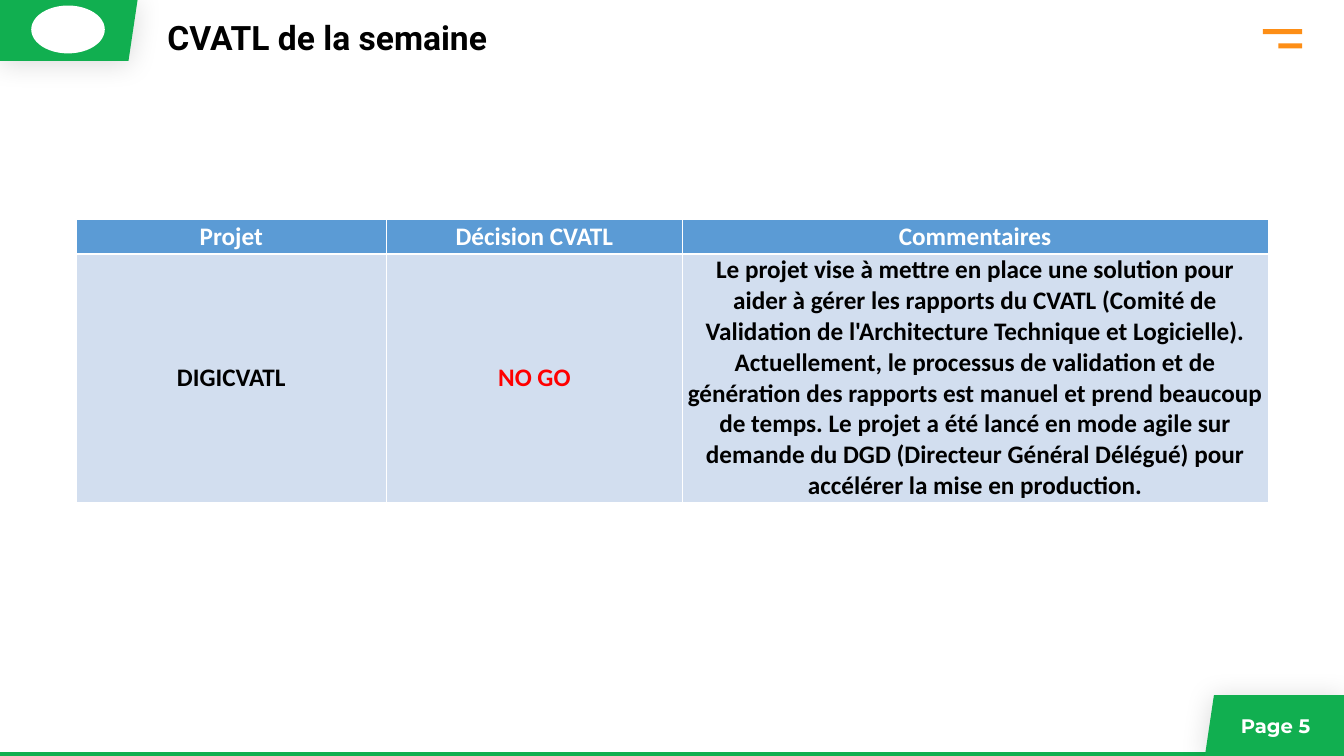
from pptx import Presentation
from pptx.dml.color import RGBColor
from pptx.enum.shapes import MSO_CONNECTOR, MSO_SHAPE
from pptx.enum.text import MSO_ANCHOR, MSO_AUTO_SIZE, PP_ALIGN
from pptx.oxml import parse_xml
from pptx.oxml.ns import nsdecls
from pptx.util import Inches, Pt

LEFT, MID, RIGHT = PP_ALIGN.LEFT, PP_ALIGN.CENTER, PP_ALIGN.RIGHT
CENTRE, FIXED = MSO_ANCHOR.MIDDLE, MSO_AUTO_SIZE.NONE
RECT, OVAL, LINE = MSO_SHAPE.RECTANGLE, MSO_SHAPE.OVAL, MSO_CONNECTOR.STRAIGHT

# Content
TITLE = "CVATL de la semaine"
PAGE = "Page 5"
ROWS = [
    ("Projet", "Décision CVATL", "Commentaires"),
    ("DIGICVATL", "NO GO",
     "Le projet vise à mettre en place une solution pour aider à gérer les "
     "rapports du CVATL (Comité de Validation de l'Architecture Technique et "
     "Logicielle). Actuellement, le processus de validation et de génération "
     "des rapports est manuel et prend beaucoup de temps. Le projet a été "
     "lancé en mode agile sur demande du DGD (Directeur Général Délégué) pour "
     "accélérer la mise en production."),
]

# Theme
THEME = {
    "green": "11AF50", "orange": "FD8E16", "white": "FFFFFF",
    "black": "000000", "red": "FF0000", "head": "5B9BD5", "body": "D2DEEF",
    "title": ("Roboto", 48), "page": ("Montserrat", 28), "cell": ("Calibri", 36),
}

# Places, in inches
WIDE, HIGH = 26.67, 15
TAB_W, TAB_H, SLANT = 2.76, 1.21, 0.18
COLS, HEIGHTS = (6.16, 5.87, 11.62), (0.68, 4.92)
TABLE = (1.51, 4.36, sum(COLS), sum(HEIGHTS))
BARS = [(0.78, 0.58), (0.47, 0.86)]
BAR_END, BAR_H = 25.84, 0.1


def tint(name):
    return RGBColor.from_string(THEME[name])


def box(*spot):
    return [Inches(n) for n in spot]


def put(item, **marks):
    for name, mark in marks.items():
        setattr(item, name, mark)


def write(frame, text, role, shade, align):
    para = frame.paragraphs[0]
    para.alignment = align
    run = para.add_run()
    run.text = text
    face, size = THEME[role]
    put(run.font, name=face, size=Pt(size), bold=True)
    run.font.color.rgb = tint(shade)
    return para


def paint(shape, shade):
    shape.shadow.inherit = False
    shape.fill.solid()
    shape.fill.fore_color.rgb = tint(shade)
    shape.line.fill.background()


def add_tab(slide, points):
    first, *rest = [tuple(box(*point)) for point in points]
    maker = slide.shapes.build_freeform(*first)
    maker.add_line_segments(rest, close=True)
    tab = maker.convert_to_shape()
    paint(tab, "green")
    tab._element.spPr.find(
        "{http://schemas.openxmlformats.org/drawingml/2006/main}effectLst"
    ).append(parse_xml(
        f'<a:outerShdw {nsdecls("a")} blurRad="{Pt(40)}" dist="{Pt(3)}" '
        f'dir="5400000"><a:srgbClr val="{THEME["black"]}">'
        '<a:alpha val="15000"/></a:srgbClr></a:outerShdw>'))


def edge(cell, widths):
    props = cell._tc.get_or_add_tcPr()
    for spot, (side, width) in enumerate(widths.items()):
        props.insert(spot, parse_xml(
            f'<a:{side} {nsdecls("a")} w="{Pt(width)}"><a:solidFill>'
            f'<a:srgbClr val="{THEME["white"]}"/></a:solidFill></a:{side}>'))


def add_grid(slide):
    grid = slide.shapes.add_table(len(ROWS), len(COLS), *box(*TABLE)).table
    for col, width in zip(grid.columns, COLS):
        col.width = Inches(width)
    for row, height in zip(grid.rows, HEIGHTS):
        row.height = Inches(height)
    for r, texts in enumerate(ROWS):
        for c, text in enumerate(texts):
            cell = grid.cell(r, c)
            put(cell, vertical_anchor=CENTRE,
                margin_left=Inches(0.08), margin_right=Inches(0.08),
                margin_top=Inches(0.01), margin_bottom=Inches(0.01))
            cell.fill.solid()
            cell.fill.fore_color.rgb = tint("body" if r else "head")
            shade = "white" if r == 0 else "red" if c == 1 else "black"
            write(cell.text_frame, text, "cell", shade, MID)
            edge(cell, {"lnL": 1, "lnR": 1, "lnT": 3 if r else 1,
                        "lnB": 1 if r else 3})


def main():
    deck = Presentation()
    put(deck, slide_width=Inches(WIDE), slide_height=Inches(HIGH))
    slide = deck.slides.add_slide(deck.slide_layouts[5])
    shapes = slide.shapes

    # Bottom rule
    rule = shapes.add_connector(LINE, *box(0, 14.96, WIDE, 14.96))
    rule.line.color.rgb = tint("green")
    rule.line.width = Pt(6)
    rule._element.spPr.append(parse_xml(f'<a:effectLst {nsdecls("a")}/>'))

    # Corner tabs
    near, top = WIDE - TAB_W, HIGH - TAB_H
    add_tab(slide, [(near, HIGH), (near + SLANT, top), (WIDE, top), (WIDE, HIGH)])
    add_tab(slide, [(0, 0), (TAB_W - 0.03, 0), (TAB_W - 0.03 - SLANT, TAB_H),
                    (0, TAB_H)])

    # Plain badge on the top tab
    paint(shapes.add_shape(OVAL, *box(0.62, 0.11, 1.46, 0.95)), "white")

    # Menu bars, flush right
    for width, y in BARS:
        paint(shapes.add_shape(RECT, *box(BAR_END - width, y, width, BAR_H)),
              "orange")

    # Page number
    page = shapes.add_textbox(*box(22.23, 14.11, 3.97, 0.57)).text_frame
    put(page, word_wrap=True, margin_right=Inches(0.2))
    write(page, PAGE, "page", "white", RIGHT)

    # Decision table
    add_grid(slide)

    # Title
    title = shapes.title
    spot = box(3.22, 0.24, 20.92, 1.09)
    put(title, **dict(zip(("left", "top", "width", "height"), spot)))
    put(title.text_frame, vertical_anchor=CENTRE, word_wrap=True, auto_size=FIXED)
    write(title.text_frame, TITLE, "title", "black", LEFT).line_spacing = 0.9

    deck.save("out.pptx")


if __name__ == "__main__":
    main()
